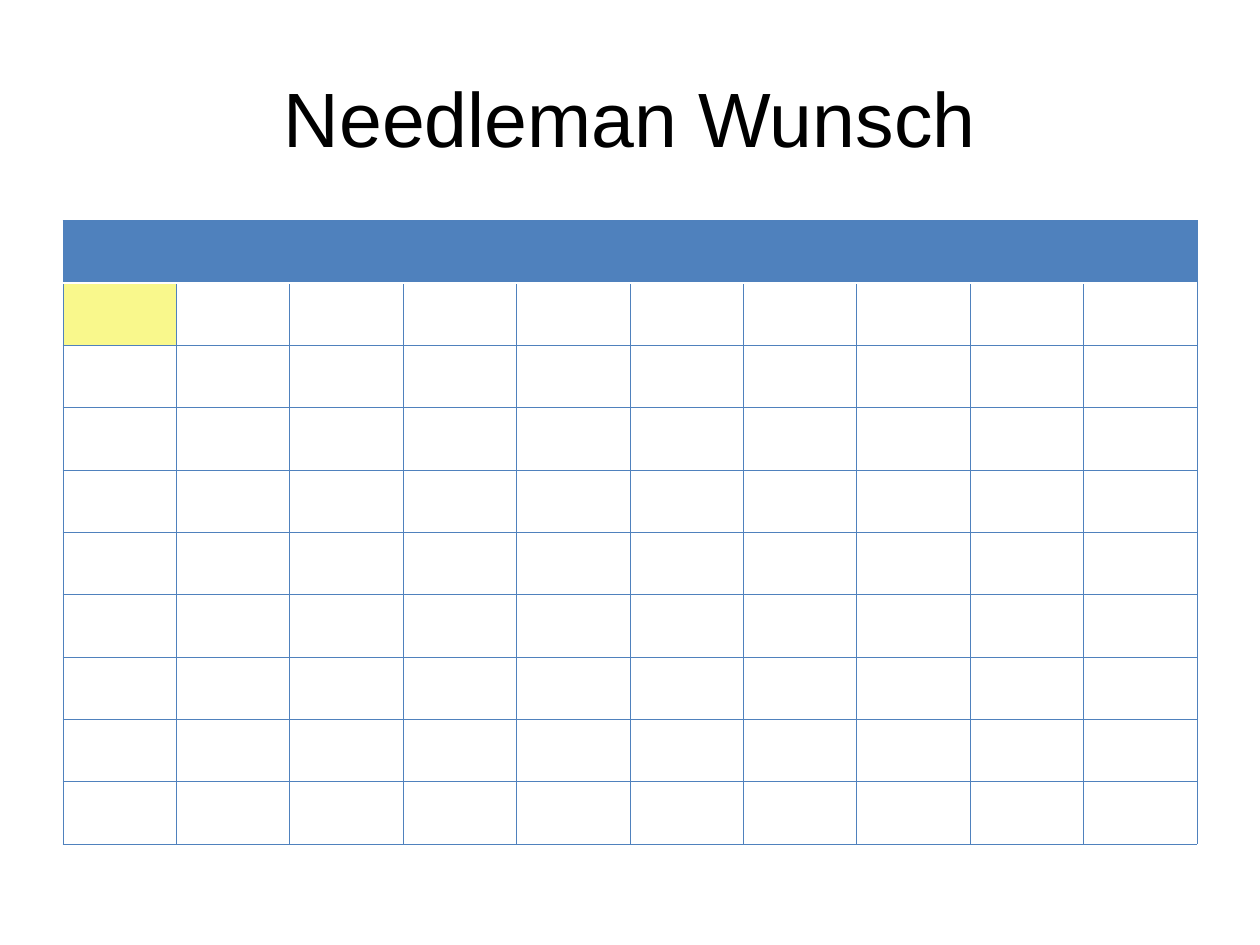
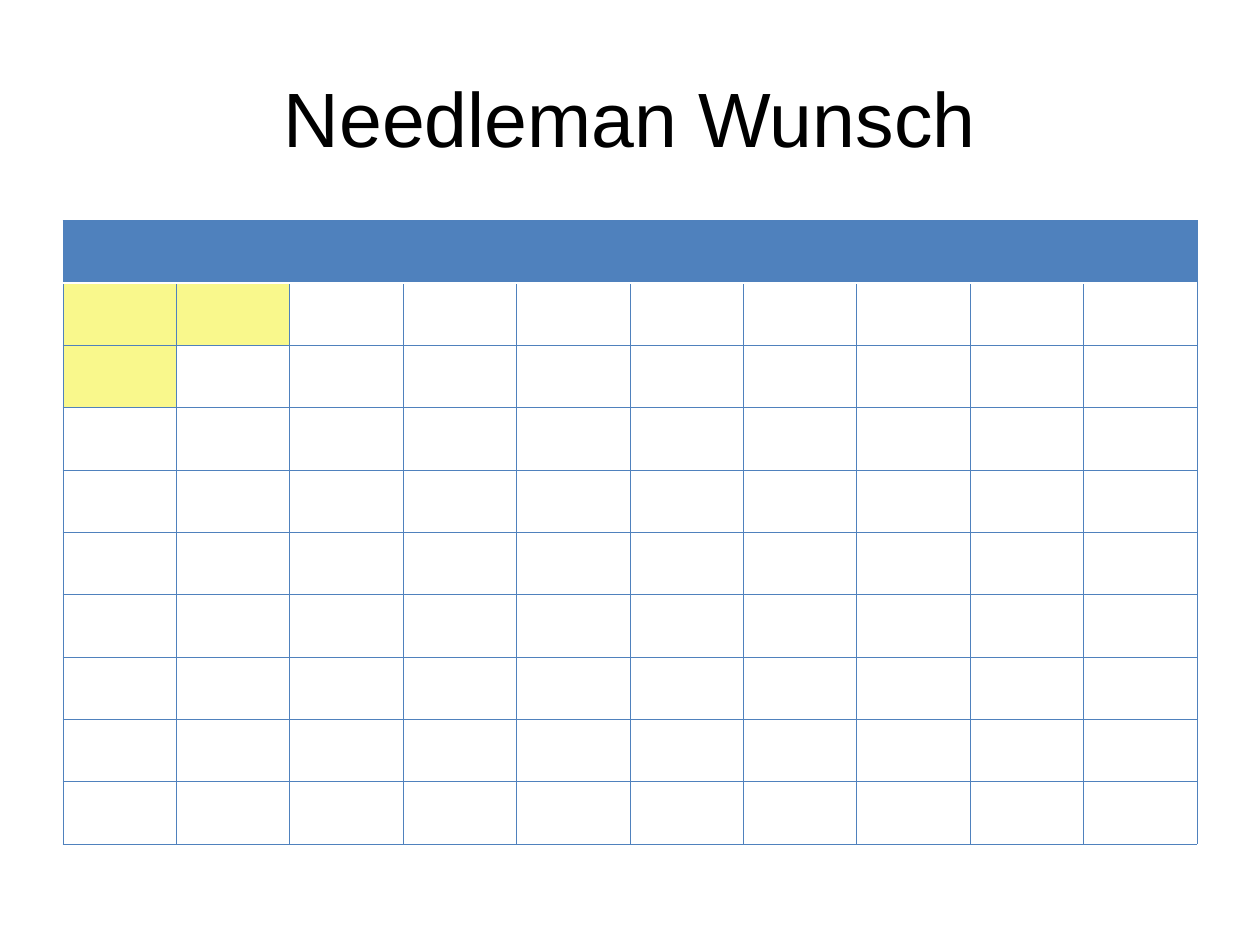
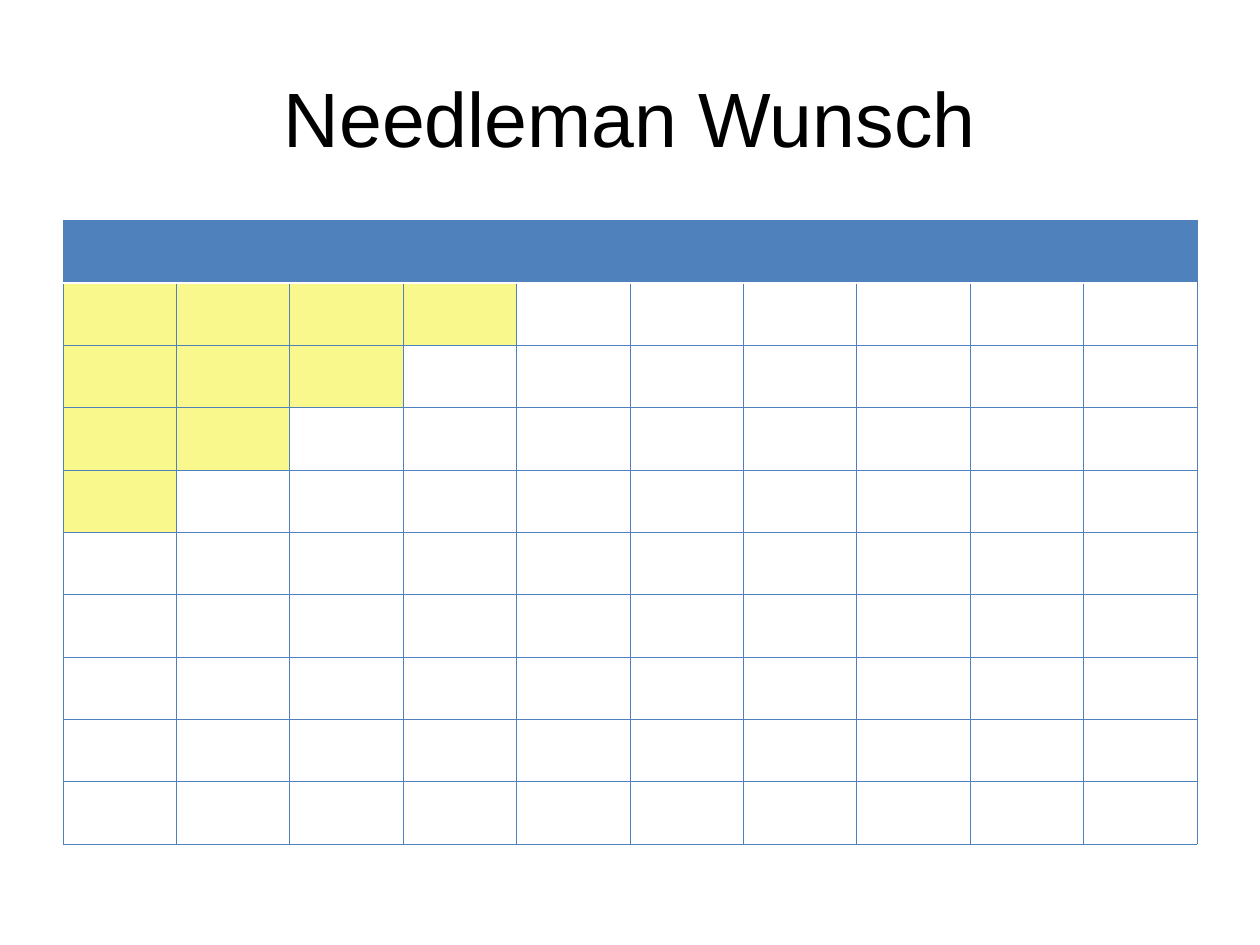
from lxml.etree import SubElement
from pptx import Presentation
from pptx.dml.color import RGBColor
from pptx.enum.text import MSO_ANCHOR, PP_ALIGN
from pptx.oxml.ns import qn
from pptx.util import Inches, Pt

TITLE = "Needleman Wunsch"
FILLED_DIAGONALS = [1, 2, 4]
GRID_SIZE = 10
COLUMN_WIDTH, ROW_HEIGHT = 0.9, 0.495

BLUE, YELLOW, WHITE, BLACK = "4F81BD", "F9F88C", "FFFFFF", "000000"
GRID_LINE = (BLUE, 0.45)
HEADER_LINE = (WHITE, 1.47)


def paint(fill, color):
    fill.solid()
    fill.fore_color.rgb = RGBColor.from_string(color)


def add_title(slide):
    title = slide.shapes.title
    title.left, title.top = Inches(0.5), Inches(0.3)
    title.width, title.height = Inches(9), Inches(1.25)
    title.text_frame.word_wrap = True
    title.text_frame.vertical_anchor = MSO_ANCHOR.MIDDLE
    paragraph = title.text_frame.paragraphs[0]
    paragraph.alignment = PP_ALIGN.CENTER
    run = paragraph.add_run()
    run.text = TITLE
    run.font.name, run.font.size = "Arial", Pt(44)
    paint(run.font.fill, BLACK)


def add_border(cell, side, color, width):
    properties = cell._tc.get_or_add_tcPr()
    line = SubElement(properties, qn(f"a:ln{side}"), w=str(Pt(width)))
    SubElement(SubElement(line, qn("a:solidFill")), qn("a:srgbClr"), val=color)


def format_cell(cell, row, column, diagonals):
    edges = {
        "L": GRID_LINE,
        "R": GRID_LINE,
        "T": HEADER_LINE if row == 1 else GRID_LINE,
        "B": HEADER_LINE if row == 0 else GRID_LINE,
    }
    for side, (color, width) in edges.items():
        add_border(cell, side, color, width)
    if row == 0:
        paint(cell.fill, BLUE)
    elif row + column <= diagonals:
        paint(cell.fill, YELLOW)
    else:
        cell.fill.background()


def add_matrix(slide, diagonals):
    matrix = slide.shapes.add_table(
        GRID_SIZE, GRID_SIZE, Inches(0.5), Inches(1.75),
        Inches(GRID_SIZE * COLUMN_WIDTH), Inches(GRID_SIZE * ROW_HEIGHT),
    ).table
    matrix.horz_banding = False
    for row in range(GRID_SIZE):
        for column in range(GRID_SIZE):
            format_cell(matrix.cell(row, column), row, column, diagonals)


def main():
    """Build the slides that fill the alignment matrix by diagonals."""
    deck = Presentation()
    deck.slide_width, deck.slide_height = Inches(10), Inches(7.5)
    for diagonals in FILLED_DIAGONALS:
        slide = deck.slides.add_slide(deck.slide_layouts[5])
        paint(slide.background.fill, WHITE)
        add_title(slide)
        add_matrix(slide, diagonals)
    deck.save("out.pptx")


if __name__ == "__main__":
    main()
